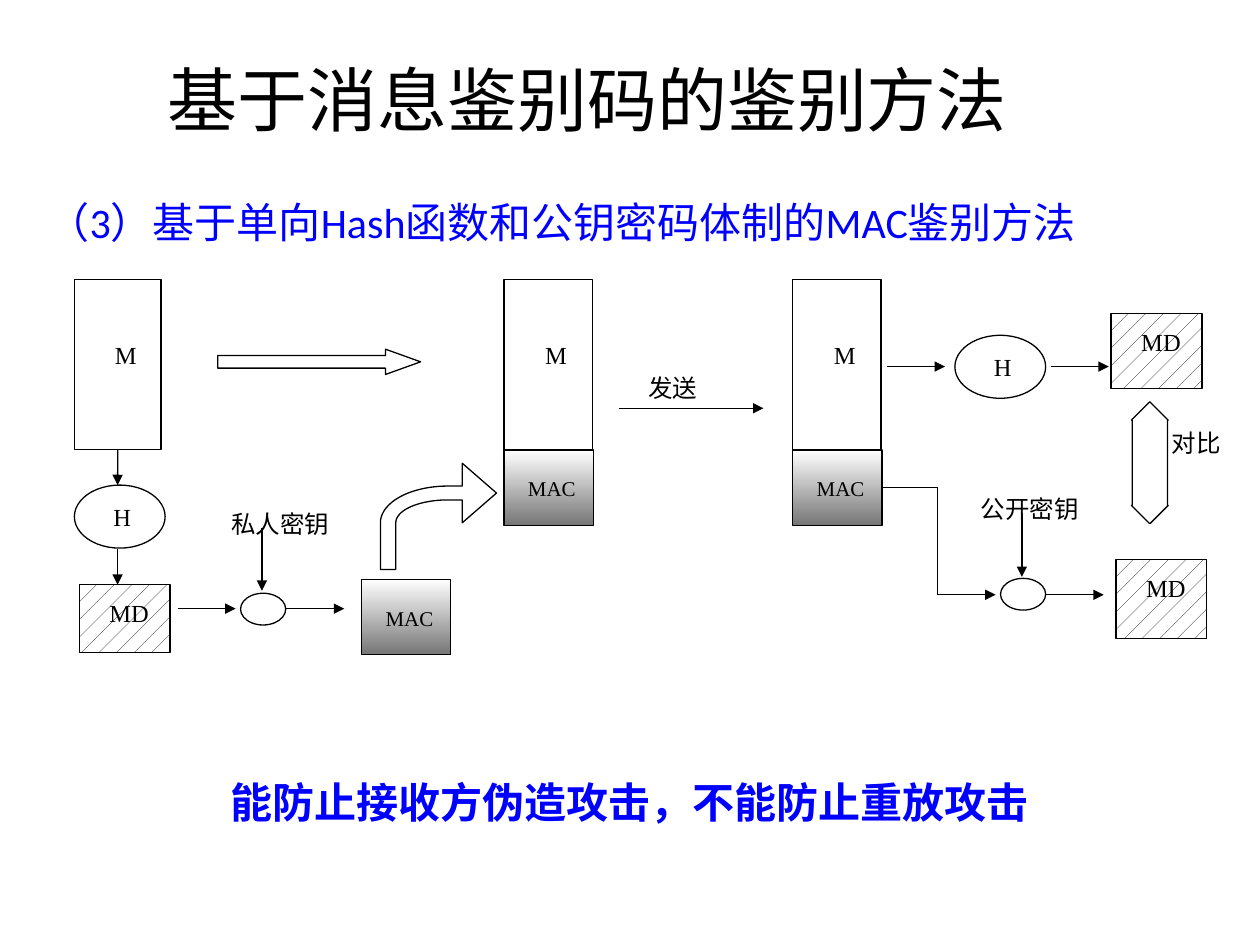
from math import cos, pi, sin

from lxml.etree import SubElement
from pptx import Presentation
from pptx.dml.color import RGBColor
from pptx.enum.dml import MSO_PATTERN
from pptx.enum.shapes import MSO_CONNECTOR, MSO_SHAPE
from pptx.enum.text import MSO_ANCHOR, PP_ALIGN
from pptx.oxml.ns import qn
from pptx.util import Cm, Pt

COLORS = {"ink": "000000", "paper": "FFFFFF", "shade": "767676", "accent": "0000FF"}


def rgb(name):
    return RGBColor.from_string(COLORS[name])


class Diagram:
    """Draws the elements of a message authentication diagram on one slide."""

    def __init__(self, s):
        self.s = s
        self.line_width = Pt(0.75)
        self.east_asian = "Noto Sans CJK SC"

    def outline(self, sp):
        sp.shadow.inherit = False
        sp.line.color.rgb = rgb("ink")
        sp.line.width = self.line_width
        sp.fill.solid()
        sp.fill.fore_color.rgb = rgb("paper")
        return sp

    def shape(self, kind, x, y, w, h, adjustments=()):
        sp = self.s.shapes.add_shape(kind, Cm(x), Cm(y), Cm(w), Cm(h))
        for i, value in enumerate(adjustments):
            sp.adjustments[i] = value
        return self.outline(sp)

    def text(self, text, x, y, w, h, size=14, font="Times New Roman",
             color="ink", bold=False, align=PP_ALIGN.CENTER, **frame):
        sp = self.s.shapes.add_textbox(Cm(x), Cm(y), Cm(w), Cm(h))
        tf = sp.text_frame
        settings = {"word_wrap": True, "margin_left": 0, "margin_right": 0,
                    "vertical_anchor": MSO_ANCHOR.TOP, **frame}
        for name, value in settings.items():
            setattr(tf, name, value)
        p = tf.paragraphs[0]
        p.alignment = align
        r = p.add_run()
        r.text = text
        for name, value in {"size": Pt(size), "name": font, "bold": bold}.items():
            setattr(r.font, name, value)
        r.font.color.rgb = rgb(color)
        SubElement(r.font._element, qn("a:ea"), typeface=self.east_asian)

    def line(self, x1, y1, x2, y2, head=True, start=None):
        c = self.s.shapes.add_connector(
            MSO_CONNECTOR.STRAIGHT, Cm(x1), Cm(y1), Cm(x2), Cm(y2))
        if start:
            c.begin_connect(*start)
        c.line.color.rgb = rgb("ink")
        c.line.width = self.line_width
        if head:
            SubElement(c.line._get_or_add_ln(), qn("a:tailEnd"), type="triangle")
        SubElement(c._element.spPr, qn("a:effectLst"))

    def message(self, x, w=1.78):
        sp = self.shape(MSO_SHAPE.RECTANGLE, x, 5.64, w, 3.43)
        self.text("M", x + 0.05, 6.73, w, 1.02, margin_left=Cm(0.22))
        return sp

    def mac(self, x, y):
        sp = self.shape(MSO_SHAPE.RECTANGLE, x, y, 1.8, 1.52)
        sp.fill.gradient()
        sp.fill.gradient_angle = 270
        for stop, name in zip(sp.fill.gradient_stops, ("paper", "shade")):
            stop.color.rgb = rgb(name)
        self.text("MAC", x + 0.23, y - 0.14, 1.47, 2.82, size=12, margin_top=Cm(0.66))
        return sp

    def digest(self, x, y, h):
        sp = self.shape(MSO_SHAPE.RECTANGLE, x, y, 1.83, h)
        sp.fill.patterned()
        sp.fill.pattern = MSO_PATTERN.PERCENT_5
        sp.fill.fore_color.rgb = rgb("ink")
        sp.fill.back_color.rgb = rgb("paper")
        self.text("MD", x - 0.1, y + 0.14, 2.21, h)

    def hash(self, x, y):
        self.shape(MSO_SHAPE.OVAL, x, y, 1.83, 1.27)
        self.text("H", x + 0.09, y + 0.21, 1.75, 1.07)

    def cipher(self, x, y):
        self.shape(MSO_SHAPE.OVAL, x, y, 0.91, 0.64)

    def bent_arrow(self, cx, cy, outer, inner, neck, tip, spread, foot):
        def arc(rx, ry):
            angles = [pi / 2 * i / 24 for i in range(25)]
            return [(cx - rx * sin(a), cy - ry * cos(a)) for a in angles]

        middle = cy - (outer[1] + inner[1]) / 2
        points = [(tip, middle), (neck, middle - spread), (neck, cy - outer[1]),
                  *arc(*outer), (cx - outer[0], foot), (cx - inner[0], foot),
                  *reversed(arc(*inner)), (neck, cy - inner[1]), (neck, middle + spread)]
        points = [(Cm(x), Cm(y)) for x, y in points]
        fb = self.s.shapes.build_freeform(*points[0], scale=1.0)
        fb.add_line_segments(points[1:], close=True)
        self.outline(fb.convert_to_shape())


def main():
    prs = Presentation()
    prs.slide_width, prs.slide_height = Cm(25.4), Cm(19.05)
    d = Diagram(prs.slides.add_slide(prs.slide_layouts[6]))

    d.mac(7.29, 11.68)
    message = d.message(1.5, 1.75)
    d.hash(1.5, 9.78)
    d.line(2.37, 9.07, 2.37, 9.78, start=(message, 2))
    d.line(2.37, 11.07, 2.37, 11.79)
    d.digest(1.6, 11.79, 1.37)
    d.cipher(4.85, 11.96)
    d.line(5.28, 10.64, 5.28, 11.91)
    for x in (3.58, 5.77):
        d.line(x, 12.27, x + 1.17, 12.27)
    d.shape(MSO_SHAPE.RIGHT_ARROW, 4.39, 7.04, 4.09, 0.51, (0.5, 1.39))
    d.bent_arrow(9.02, 10.54, (1.35, 0.74), (1.04, 0.46), 9.32, 10.01, 0.6, 11.48)

    d.mac(10.16, 9.07)
    d.message(10.16)
    d.line(12.47, 8.23, 15.39, 8.23)

    received = d.mac(15.98, 9.07)
    d.message(15.98)
    d.hash(19.25, 6.76)
    d.digest(22.4, 6.32, 1.52)
    for x in (17.88, 21.18):
        d.line(x, 7.39, x + 1.17, 7.39)
    d.cipher(20.17, 11.66)
    d.line(20.6, 10.34, 20.6, 11.63)
    d.line(17.78, 9.83, 18.9, 9.83, head=False, start=(received, 3))
    d.line(18.9, 9.83, 18.9, 11.99, head=False)
    for x in (18.9, 21.08):
        d.line(x, 11.99, x + 1.17, 11.99)
    d.digest(22.5, 11.28, 1.6)
    d.shape(MSO_SHAPE.UP_DOWN_ARROW, 22.81, 8.1, 0.74, 2.46, (0.5, 0.96))

    for label, *box in (("对比", 23.24, 8.51, 1.75, 1.75),
                        ("发送", 11.81, 7.39, 3.51, 1.07),
                        ("私人密钥", 4.22, 10.13, 2.87, 0.86),
                        ("公开密钥", 19.33, 9.83, 2.87, 0.89)):
        d.text(label, *box)

    blue = {"size": 24, "color": "accent", "align": PP_ALIGN.LEFT, "margin_left": Cm(0.25)}
    d.text("（3）基于单向Hash函数和公钥密码体制的MAC鉴别方法",
           0.71, 3.84, 23.27, 1.27, font="Calibri", **blue)
    d.text("能防止接收方伪造攻击，不能防止重放攻击", 4.39, 15.52, 16.84, 1.27,
           font=d.east_asian, bold=True, word_wrap=False, **blue)
    d.text("基于消息鉴别码的鉴别方法", 1.02, 0.66, 21.64, 2.64, size=40,
           font="Calibri", vertical_anchor=MSO_ANCHOR.MIDDLE)
    prs.save("out.pptx")


if __name__ == "__main__":
    main()
